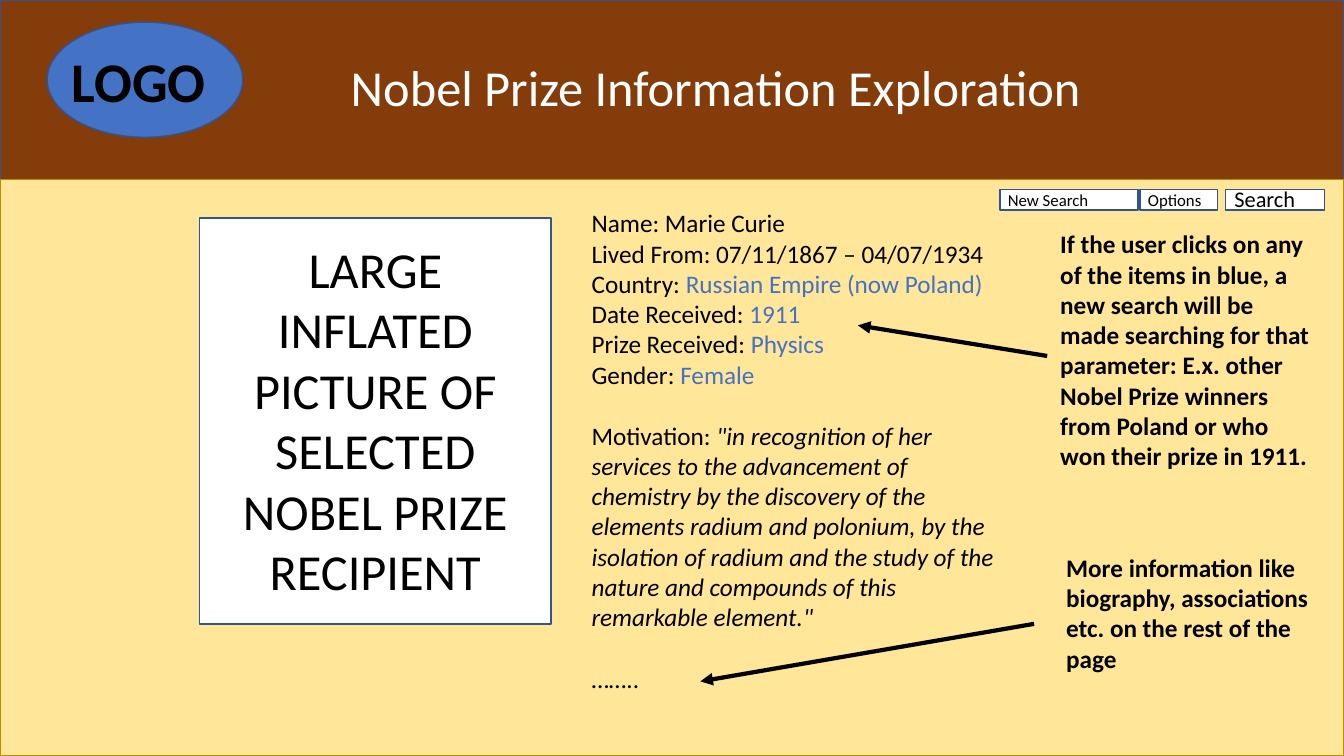
from pptx import Presentation
from pptx import util as u
from pptx.dml import color
from pptx.enum import shapes, text
from pptx.oxml import ns
from lxml import etree

COLORS = {
    "brown": "843C0B", "cream": "FFE699", "gold": "BD8E00", "blue": "4472C4",
    "outline": "325491", "white": "FFFFFF", "black": "000000",
}


def add_block(kind, left, top, width, height, fill, line="outline"):
    block = page.shapes.add_shape(kind, u.Cm(left), u.Cm(top), u.Cm(width), u.Cm(height))
    block.shadow.inherit = False
    block.fill.solid()
    block.fill.fore_color.rgb = color.RGBColor.from_string(COLORS[fill])
    block.line.color.rgb = color.RGBColor.from_string(COLORS[line])
    block.line.width = u.Pt(1)


def add_text(left, top, width, height, paragraphs, size, align=text.PP_ALIGN.LEFT):
    """Each paragraph is a list of (words, colour, style) runs."""
    box = page.shapes.add_textbox(u.Cm(left), u.Cm(top), u.Cm(width), u.Cm(height))
    frame = box.text_frame
    frame.word_wrap = True
    for index, runs in enumerate(paragraphs):
        para = frame.add_paragraph() if index else frame.paragraphs[0]
        para.alignment = align
        for words, tint, style in runs:
            span = para.add_run()
            span.text = words
            span.font.name = "Calibri"
            span.font.size = u.Pt(size)
            span.font.bold = style == "bold"
            span.font.italic = style == "italic"
            span.font.color.rgb = color.RGBColor.from_string(COLORS[tint])
    return frame


deck = Presentation()
deck.slide_width, deck.slide_height = u.Cm(33.87), u.Cm(19.05)
page = deck.slides.add_slide(deck.slide_layouts[6])
RECTANGLE, OVAL = shapes.MSO_SHAPE.RECTANGLE, shapes.MSO_SHAPE.OVAL
CENTER = text.PP_ALIGN.CENTER

# Header band and page body
add_block(RECTANGLE, 0, 0, 33.87, 4.53, "brown")
add_block(RECTANGLE, 0, 4.53, 33.87, 14.52, "cream", "gold")

# Portrait placeholder
add_block(RECTANGLE, 5.03, 5.49, 8.86, 10.24, "white")
portrait_label = "LARGE INFLATED PICTURE OF SELECTED NOBEL PRIZE RECIPIENT"
add_text(5.61, 5.87, 7.7, 9.5, [[(portrait_label, "black", "")]], 36, CENTER)

# Laureate facts: searchable values in blue
facts = [
    ("Name: Marie Curie", ""),
    ("Lived From: 07/11/1867 – 04/07/1934", ""),
    ("Country: ", "Russian Empire (now Poland)"),
    ("Date Received: ", "1911"),
    ("Prize Received: ", "Physics"),
    ("Gender: ", "Female"),
]
quote = (
    '"in recognition of her services to the advancement of chemistry by the '
    "discovery of the elements radium and polonium, by the isolation of radium and "
    'the study of the nature and compounds of this remarkable element."'
)
paragraphs = []
for label, value in facts:
    runs = [(label, "black", "")]
    if value:
        runs.append((value, "blue", ""))
    paragraphs.append(runs)
paragraphs.append([("Motivation: ", "black", ""), (quote, "black", "italic")])
facts_frame = add_text(14.66, 5.11, 10.64, 11.02, paragraphs, 18)
facts_frame.paragraphs[-1].space_before = u.Pt(22)
add_text(14.66, 16.59, 12.24, 1.02, [[("……..", "black", "")]], 18)

# Menu buttons: button left and width, label left, top, width and size
buttons = [
    ("New Search", 25.2, 3.48, 25.15, 4.65, 2.92, 12),
    ("Options", 28.73, 1.96, 28.68, 4.65, 1.96, 12),
    ("Search", 30.89, 2.49, 30.86, 4.55, 2.24, 16),
]
for label, left, width, label_left, label_top, label_width, size in buttons:
    add_block(RECTANGLE, left, 4.78, width, 0.51, "white")
    add_text(label_left, label_top, label_width, 0.76, [[(label, "black", "")]], size)

# Logo and title
add_block(OVAL, 1.19, 0.56, 4.93, 2.9, "blue")
add_text(1.19, 1.04, 4.93, 1.96, [[("LOGO ", "black", "bold")]], 40, CENTER)
add_text(8.59, 1.3, 20.09, 1.8, [[("Nobel Prize Information Exploration", "white", "")]], 36)

# Side notes, each with an arrow to what it explains
notes = [
    ("If the user clicks on any of the items in blue, a new search will be made "
     "searching for that parameter: E.x. other Nobel Prize winners from Poland or "
     "who won their prize in 1911.",
     (26.47, 5.64, 6.93, 6.4), (26.39, 8.97, 21.62, 8.2)),
    ("More information like biography, associations etc. on the rest of the page",
     (26.62, 13.79, 6.93, 3.33), (26.06, 15.72, 17.65, 17.17)),
]
for note, place, ends in notes:
    add_text(*place, [[(note, "black", "bold")]], 18)
    arrow = page.shapes.add_connector(
        shapes.MSO_CONNECTOR.STRAIGHT, *[u.Cm(end) for end in ends])
    arrow.line.color.rgb = color.RGBColor.from_string(COLORS["black"])
    arrow.line.width = u.Pt(3)
    etree.SubElement(arrow.line._get_or_add_ln(), ns.qn("a:tailEnd"), type="triangle")
    etree.SubElement(arrow._element.spPr, ns.qn("a:effectLst"))

deck.save("out.pptx")
